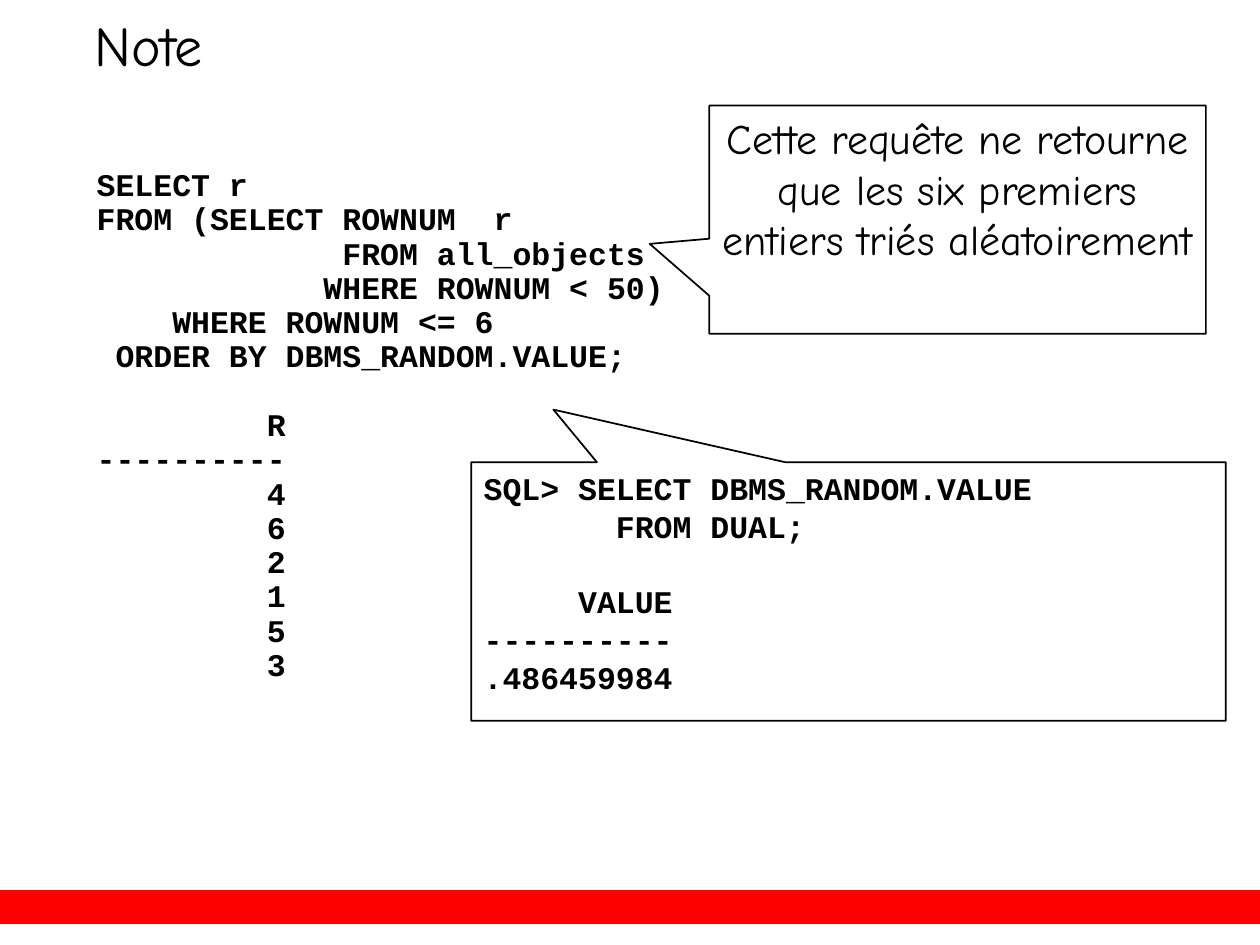
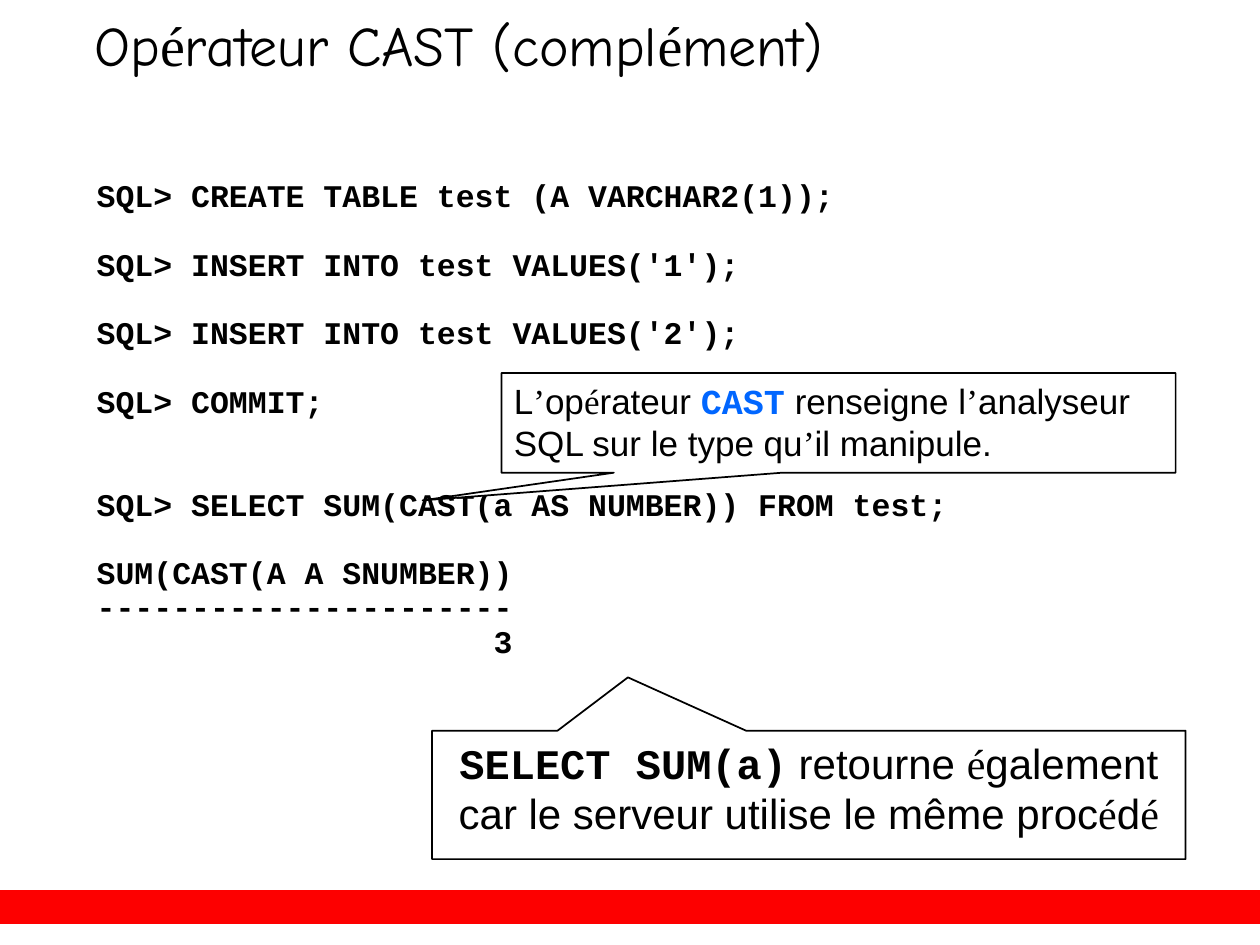
from itertools import groupby

from pptx import Presentation
from pptx.dml.color import RGBColor
from pptx.enum.shapes import MSO_SHAPE
from pptx.enum.text import MSO_ANCHOR, PP_ALIGN
from pptx.util import Cm, Pt

BLACK = RGBColor(0, 0, 0)
WHITE = RGBColor(255, 255, 255)
RED = RGBColor(0xFD, 0, 0)
BLUE = RGBColor(0, 0x66, 0xFF)

TITLE_FONT = "Comic Neue"
BODY_FONT = "Arial"
CODE_FONT = "Courier New"
ACCENT_FONT = "Times New Roman"
ACCENTS = "é’"

CODE_SIZE = 18
CODE_PITCH = 19.6
CALLOUT_PITCH = 21.6

# Content: a text part is (text, style); a callout holds either code or parts
SLIDES = [
    {
        "title": [("Note", "title")],
        "code_inset": 0.66,
        "code": """\
SELECT r
FROM (SELECT ROWNUM  r
             FROM all_objects
            WHERE ROWNUM < 50)
    WHERE ROWNUM <= 6
 ORDER BY DBMS_RANDOM.VALUE;

         R
----------
         4
         6
         2
         1
         5
         3""",
        "callouts": [
            {
                "box": (14.3, 2.13, 10.01, 4.6),
                "tip": (-0.62, 0.106),
                "size": 24,
                "pitch": 29,
                "align": PP_ALIGN.CENTER,
                "parts": [("Cette requête ne retourne que les six premiers "
                           "entiers triés aléatoirement", "title")],
            },
            {
                "box": (9.5, 9.32, 15.21, 5.21),
                "tip": (-0.391, -0.704),
                "code": """\
SQL> SELECT DBMS_RANDOM.VALUE
       FROM DUAL;

     VALUE
----------
.486459984""",
            },
        ],
    },
    {
        "title": [("Opérateur CAST (complément)", "accented title")],
        "code_inset": 0.88,
        "code": """\
SQL> CREATE TABLE test (A VARCHAR2(1));

SQL> INSERT INTO test VALUES('1');

SQL> INSERT INTO test VALUES('2');

SQL> COMMIT;


SQL> SELECT SUM(CAST(a AS NUMBER)) FROM test;

SUM(CAST(A A SNUMBER))
----------------------
                     3""",
        "callouts": [
            {
                "box": (8.71, 14.73, 15.19, 2.59),
                "tip": (-0.24, -0.915),
                "size": 24,
                "align": PP_ALIGN.CENTER,
                "parts": [
                    ("SELECT SUM(a)", "code"),
                    (" retourne également car le serveur utilise "
                     "le même procédé", "body"),
                ],
            },
            {
                "box": (10.11, 7.52, 13.59, 2.01),
                "tip": (-0.617, 0.778),
                "size": 20,
                "align": PP_ALIGN.LEFT,
                "parts": [
                    ("L’opérateur ", "body"),
                    ("CAST", "keyword"),
                    (" renseigne l’analyseur SQL sur le type "
                     "qu’il manipule.", "body"),
                ],
            },
        ],
    },
]

# Style: font, colour, bold, accented letters set in their own font
STYLES = {
    "title": (TITLE_FONT, BLACK, False, False),
    "accented title": (TITLE_FONT, BLACK, False, True),
    "body": (BODY_FONT, BLACK, False, True),
    "code": (CODE_FONT, BLACK, True, False),
    "keyword": (CODE_FONT, BLUE, True, False),
}


def add_parts(paragraph, parts, size):
    for text, style in parts:
        font_name, color, bold, split_accents = STYLES[style]
        pieces = groupby(text, lambda letter: split_accents and letter in ACCENTS)
        for accented, letters in pieces:
            run = paragraph.add_run()
            run.text = "".join(letters)
            run.font.name = ACCENT_FONT if accented else font_name
            run.font.size = Pt(size)
            run.font.bold = bold
            run.font.color.rgb = color


def add_code(frame, code, pitch):
    """One paragraph per code line; empty lines become space before the next."""
    paragraph, gap = None, 0
    for line in code.splitlines():
        if not line:
            gap += pitch
            continue
        paragraph = frame.add_paragraph() if paragraph else frame.paragraphs[0]
        paragraph.alignment = PP_ALIGN.LEFT
        paragraph.line_spacing = Pt(pitch)
        paragraph.space_before = Pt(gap)
        add_parts(paragraph, [(line, "code")], CODE_SIZE)
        gap = 0


def prepare_frame(shape, side=0.25, top=0.13):
    frame = shape.text_frame
    frame.word_wrap = True
    frame.vertical_anchor = MSO_ANCHOR.TOP
    frame.margin_left = frame.margin_right = Cm(side)
    frame.margin_top = Cm(top)
    frame.margin_bottom = Cm(min(top, 0.13))
    return frame


def add_filled_shape(slide, kind, box, fill, line):
    shape = slide.shapes.add_shape(kind, *map(Cm, box))
    shape.shadow.inherit = False
    shape.fill.solid()
    shape.fill.fore_color.rgb = fill
    shape.line.color.rgb = line
    shape.line.width = Pt(1)
    return shape


def add_callout(slide, callout):
    shape = add_filled_shape(slide, MSO_SHAPE.RECTANGULAR_CALLOUT,
                             callout["box"], WHITE, BLACK)
    shape.adjustments[0], shape.adjustments[1] = callout["tip"]
    frame = prepare_frame(shape)
    if "code" in callout:
        add_code(frame, callout["code"], CALLOUT_PITCH)
        return
    paragraph = frame.paragraphs[0]
    paragraph.alignment = callout["align"]
    if "pitch" in callout:
        paragraph.line_spacing = Pt(callout["pitch"])
    add_parts(paragraph, callout["parts"], callout["size"])


def add_slide(presentation, content):
    slide = presentation.slides.add_slide(presentation.slide_layouts[6])
    slide.background.fill.solid()
    slide.background.fill.fore_color.rgb = WHITE

    # Bottom band
    add_filled_shape(slide, MSO_SHAPE.RECTANGLE, (0, 17.96, 25.4, 0.66), RED, RED)

    # Title
    title = slide.shapes.add_textbox(Cm(1.9), Cm(0.43), Cm(20.75), Cm(1.47))
    paragraph = prepare_frame(title, side=0, top=0).paragraphs[0]
    paragraph.line_spacing = 0.85
    add_parts(paragraph, content["title"], 32)

    # Code listing
    listing = slide.shapes.add_textbox(Cm(1.7), Cm(2.74), Cm(21.79), Cm(11.33))
    frame = prepare_frame(listing, top=content["code_inset"])
    add_code(frame, content["code"], CODE_PITCH)

    # Callouts
    for callout in content["callouts"]:
        add_callout(slide, callout)


def main():
    presentation = Presentation()
    presentation.slide_width = Cm(25.4)
    presentation.slide_height = Cm(19.05)
    for content in SLIDES:
        add_slide(presentation, content)
    presentation.save("out.pptx")


if __name__ == "__main__":
    main()
